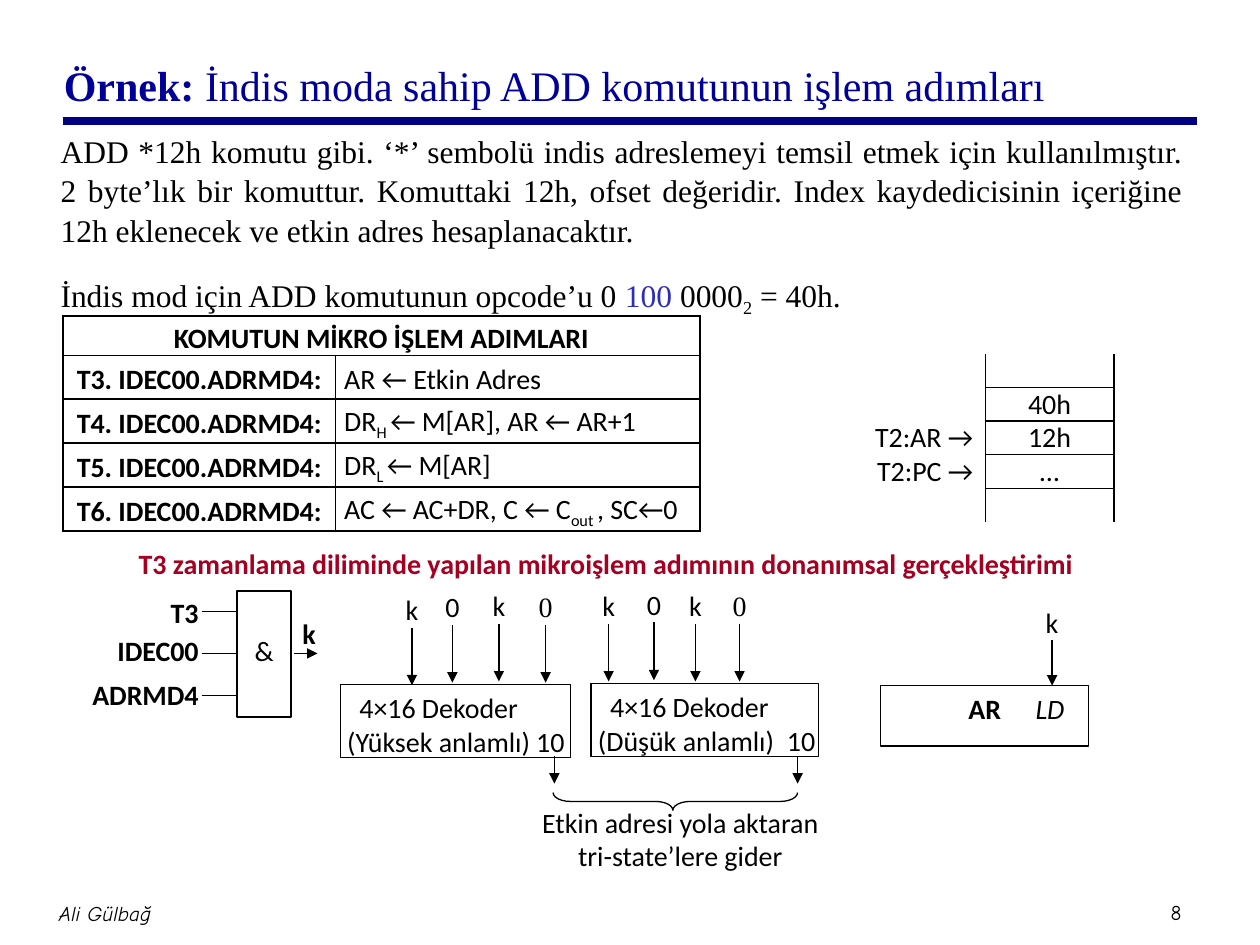
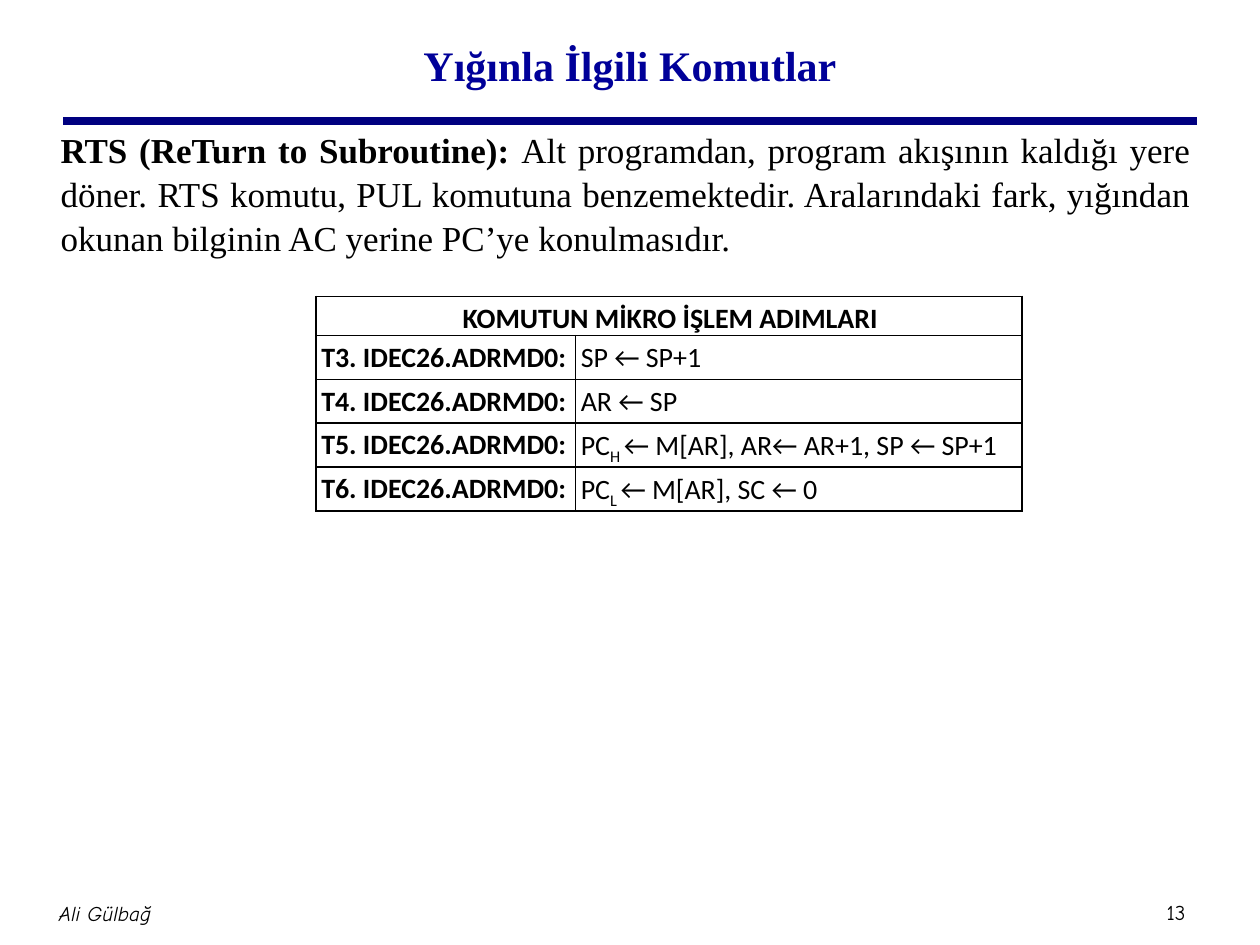
from lxml import etree
from pptx import Presentation
from pptx.dml.color import RGBColor
from pptx.enum.shapes import MSO_CONNECTOR, MSO_SHAPE
from pptx.enum.text import MSO_ANCHOR, PP_ALIGN
from pptx.oxml.ns import qn
from pptx.util import Pt

LEFT, CENTER, RIGHT, JUSTIFY = PP_ALIGN.LEFT, PP_ALIGN.CENTER, PP_ALIGN.RIGHT, PP_ALIGN.JUSTIFY
TOP, MIDDLE = MSO_ANCHOR.TOP, MSO_ANCHOR.MIDDLE
RECT, BRACE = MSO_SHAPE.RECTANGLE, MSO_SHAPE.LEFT_BRACE
STRAIGHT = MSO_CONNECTOR.STRAIGHT

BLACK = RGBColor(0, 0, 0)
WHITE = RGBColor(255, 255, 255)
NAVY = RGBColor(0, 0, 0x80)
TITLE_BLUE = RGBColor(0, 0, 0x99)
OPCODE_BLUE = RGBColor(0x2D, 0x2D, 0xB9)
CRIMSON = RGBColor(0xA5, 0, 0x21)
SERIF, SANS, FOOTER = "Times New Roman", "Calibri", "Comic Neue"


def write(p, runs, size=16, font=SANS, color=BLACK, align=LEFT):
    """Fill a paragraph with (text, style) runs; b bold, i italic, s subscript, o opcode blue."""
    p.alignment = align
    for text, style in runs:
        r = p.add_run()
        r.text = text
        r.font.size, r.font.name = Pt(size), font
        r.font.bold, r.font.italic = "b" in style, "i" in style
        r.font.color.rgb = OPCODE_BLUE if "o" in style else color
        if "s" in style:
            r.font._element.set("baseline", "-25000")


def add_text(s, x, y, w, h, runs, anchor=TOP, **style):
    """Add a wrapping text box without insets."""
    tf = s.shapes.add_textbox(Pt(x), Pt(y), Pt(w), Pt(h)).text_frame
    tf.word_wrap = True
    tf.vertical_anchor = anchor
    tf.margin_left = tf.margin_right = tf.margin_top = tf.margin_bottom = 0
    write(tf.paragraphs[0], runs, **style)
    return tf


# Content of the two slides
SLIDES = [
    dict(
        number="8", title_box=(-43.2, 17.3, 720, 61.9),
        title=[("Örnek: ", "b"), ("İndis moda sahip ADD komutunun işlem adımları", "")],
        body_box=(34.6, 74.2, 641.5, 108), body_size=18,
        body=[
            [("ADD *12h komutu gibi. ‘*’ sembolü indis adreslemeyi temsil etmek için "
              "kullanılmıştır. 2 byte’lık bir komuttur. Komuttaki 12h, ofset değeridir. "
              "Index kaydedicisinin içeriğine 12h eklenecek ve etkin adres "
              "hesaplanacaktır.", "")],
            [("İndis mod için ADD komutunun opcode’u 0 ", ""), ("100", "o"),
             (" 0000", ""), ("2", "s"), (" = 40h.", "")],
        ],
        table_at=(36, 180.7), columns=(155.7, 208.3), margins=(5, 5),
        step_align=CENTER, anchor=MIDDLE, condition="IDEC00.ADRMD4:",
        steps=[
            [("AR ← Etkin Adres", "")],
            [("DR", ""), ("H ", "s"), ("← M[AR], AR ← AR+1", "")],
            [("DR", ""), ("L ", "s"), ("← M[AR]", "")],
            [("AC ← AC+DR, C ← C", ""), ("out ", "s"), (", SC←0", "")],
        ],
    ),
    dict(
        number="13", title_box=(54, 5.8, 612, 61.9),
        title=[("Yığınla İlgili Komutlar", "b")],
        body_box=(34.6, 72, 645.8, 85), body_size=20,
        body=[
            [("RTS (ReTurn to Subroutine): ", "b"),
             ("Alt programdan, program akışının kaldığı yere döner. RTS komutu, PUL "
              "komutuna benzemektedir. Aralarındaki fark, yığından okunan bilginin AC "
              "yerine PC’ye konulmasıdır.", "")],
        ],
        table_at=(180.7, 169.4), columns=(148.3, 254.9), margins=(2.9, 1.4),
        step_align=LEFT, anchor=TOP, condition="IDEC26.ADRMD0:",
        steps=[
            [("SP ← SP+1", "")],
            [("AR ← SP", "")],
            [("PC", ""), ("H ", "s"), ("← M[AR], AR← AR+1, SP ← SP+1", "")],
            [("PC", ""), ("L ", "s"), ("← M[AR], SC ← 0", "")],
        ],
    ),
]

prs = Presentation()
prs.slide_width, prs.slide_height = Pt(720), Pt(540)
lines = []      # slide, x1, y1, x2, y2, colour, width, arrow
bordered = []   # table cell, sides that get a line

for data in SLIDES:
    s = prs.slides.add_slide(prs.slide_layouts[5])

    # Title, rule and footer
    title = s.shapes.title
    title.left, title.top, title.width, title.height = map(Pt, data["title_box"])
    title.text_frame.vertical_anchor = MIDDLE
    write(title.text_frame.paragraphs[0], data["title"], 24, SERIF, TITLE_BLUE, CENTER)
    lines.append((s, 36, 69.1, 684, 69.1, NAVY, 4.5, False))
    add_text(s, 20, 504, 80, 36, [("Ali Gülbağ", "i")], MIDDLE,
             size=12, font=FOOTER, align=CENTER)
    add_text(s, 655, 510.5, 34, 21.6, [(data["number"], "")], MIDDLE,
             size=12, font=FOOTER, align=CENTER)

    # Body text
    first, *rest = data["body"]
    style = dict(size=data["body_size"], font=SERIF)
    tf = add_text(s, *data["body_box"], first, align=JUSTIFY, **style)
    for runs in rest:
        p = tf.add_paragraph()
        p.space_before = Pt(14)
        write(p, runs, **style)
    for p in tf.paragraphs:
        p.line_spacing = 1.05

    # Micro-operation table
    x, y = data["table_at"]
    table = s.shapes.add_table(5, 2, Pt(x), Pt(y), Pt(sum(data["columns"])), Pt(122.4)).table
    table.first_row = table.horz_banding = False
    for column, width in zip(table.columns, data["columns"]):
        column.width = Pt(width)
    for i, row in enumerate(table.rows):
        row.height = Pt(25 if i else 22.4)
    table.cell(0, 0).merge(table.cell(0, 1))
    write(table.cell(0, 0).text_frame.paragraphs[0],
          [("KOMUTUN MİKRO İŞLEM ADIMLARI", "b")], align=CENTER)
    for i, runs in enumerate(data["steps"], start=1):
        write(table.cell(i, 0).text_frame.paragraphs[0],
              [(f"T{i + 2}. {data['condition']}", "b")], align=data["step_align"])
        write(table.cell(i, 1).text_frame.paragraphs[0], runs)
    for cell in table.iter_cells():
        cell.margin_left, cell.margin_right = map(Pt, data["margins"])
        cell.margin_top = cell.margin_bottom = 0
        cell.vertical_anchor = data["anchor"]
        cell.text_frame.paragraphs[0].line_spacing = 1.15
        bordered.append((cell, "LRTB"))

s = prs.slides[0]

# Memory table with register pointers
MEMORY = [("", "", "LRB"), ("", "40h", "LRTB"), ("T2:AR →", "12h", "LRTB"),
          ("T2:PC →", "…", "LRTB"), ("", "", "LRT")]
table = s.shapes.add_table(5, 2, Pt(449.3), Pt(202.3), Pt(187.2), Pt(95.5)).table
table.first_row = table.horz_banding = False
table.columns[0].width, table.columns[1].width = Pt(113.8), Pt(73.4)
for i, (pointer, content, sides) in enumerate(MEMORY):
    table.rows[i].height = Pt(19.1)
    for j, (text, align, edge) in enumerate([(pointer, RIGHT, "R"), (content, CENTER, sides)]):
        cell = table.cell(i, j)
        cell.margin_left = cell.margin_right = Pt(7)
        cell.margin_top = cell.margin_bottom = 0
        p = cell.text_frame.paragraphs[0]
        if text:
            write(p, [(text, "")], align=align)
        else:
            p._p.get_or_add_endParaRPr().set("sz", "800")
        bordered.append((cell, edge))

# Heading of the circuit
add_text(s, 79.2, 312.5, 600, 20,
         [("T3 zamanlama diliminde yapılan mikroişlem adımının donanımsal gerçekleştirimi", "b")],
         color=CRIMSON)

# Boxes: AND gate, two decoders, AR register
BOXES = [
    (135.4, 337.7, 31, 72, [[("&", "")]], CENTER, MIDDLE),
    (194.4, 391, 131.8, 41.8,
     [[("4×16 Dekoder", "")], [("(Yüksek anlamlı)\t10", "")]], LEFT, TOP),
    (337.7, 390.5, 130, 41.8,
     [[("4×16 Dekoder", "")], [("(Düşük anlamlı)\t10", "")]], LEFT, TOP),
    (503.3, 391.7, 118.8, 34.6, [[("AR", "b")]], CENTER, TOP),
]
for x, y, w, h, paragraphs, align, anchor in BOXES:
    sp = s.shapes.add_shape(RECT, Pt(x), Pt(y), Pt(w), Pt(h))
    sp.shadow.inherit = False
    sp.fill.solid()
    sp.fill.fore_color.rgb = WHITE
    sp.line.color.rgb, sp.line.width = BLACK, Pt(0.75)
    tf = sp.text_frame
    tf.vertical_anchor = anchor
    tf.margin_left, tf.margin_right = Pt(4), Pt(4 if align == CENTER else 0)
    tf.margin_top, tf.margin_bottom = Pt(3.6), Pt(8 if anchor == MIDDLE else 3.6)
    for i, runs in enumerate(paragraphs):
        p = tf.add_paragraph() if i else tf.paragraphs[0]
        write(p, runs, align=align)
        pPr = p._p.get_or_add_pPr()
        if align == LEFT and i == 0:
            pPr.set("marL", str(Pt(7)))
        elif align == LEFT:
            tabs = etree.SubElement(pPr, qn("a:tabLst"))
            etree.SubElement(tabs, qn("a:tab"), pos=str(Pt(108)), algn="l")
add_text(s, 580, 395.3, 40, 20, [("LD", "i")], align=CENTER)

# Gate inputs and output
for i, (name, y) in enumerate([("T3", 340.6), ("IDEC00", 362.2), ("ADRMD4", 387.4)]):
    add_text(s, 43.5, y, 70, 20, [(name, "b")], align=RIGHT)
    wire_y = 349.3 + 24.1 * i
    lines.append((s, 115.2, wire_y, 135.4, wire_y, BLACK, 0.75, False))
add_text(s, 172.8, 352.1, 14, 20, [("k", "b")])
lines.append((s, 167.8, 373.4, 181.4, 373.4, BLACK, 0.75, True))

# Labelled arrows into the decoders and AR
INPUTS = [
    ("k", 235.4, 358.6, 33, SANS), ("0", 258.5, 357.1, 33, SANS),
    ("k", 285.1, 356.4, 33, SANS), ("0", 311.8, 357.1, 33, SERIF),
    ("k", 347.8, 356.4, 33, SANS), ("0", 373.7, 355.7, 33, SANS),
    ("k", 397.4, 356.4, 33, SANS), ("0", 422.6, 356.4, 33, SERIF),
    ("k", 601.2, 365.8, 26, SANS),
]
for label, x, y, length, font in INPUTS:
    add_text(s, x - 10, y - 20, 20, 20, [(label, "")], font=font, align=CENTER)
    lines.append((s, x, y, x, y + length, BLACK, 0.75, True))

# Decoder outputs, joined by a brace
for x in (316.8, 455.8):
    lines.append((s, x, 432, x, 447.8, BLACK, 0.75, True))
sp = s.shapes.add_shape(BRACE, Pt(380.9), Pt(388.1), Pt(10.1), Pt(139.7))
sp.rotation = 270
sp.adjustments[0], sp.adjustments[1] = 0.98, 0.49
sp.shadow.inherit = False
sp.fill.background()
sp.line.color.rgb, sp.line.width = BLACK, Pt(0.75)
add_text(s, 306, 460.1, 165.6, 40,
         [("Etkin adresi yola aktaran tri-state’lere gider", "")], align=CENTER)

# Draw all lines and arrows
for s, x1, y1, x2, y2, color, width, arrow in lines:
    cx = s.shapes.add_connector(STRAIGHT, Pt(x1), Pt(y1), Pt(x2), Pt(y2))
    cx.line.color.rgb, cx.line.width = color, Pt(width)
    if arrow:
        etree.SubElement(cx.line._get_or_add_ln(), qn("a:tailEnd"), type="triangle")
    etree.SubElement(cx._element.spPr, qn("a:effectLst"))

# Cell borders
for cell, sides in bordered:
    cell.fill.background()
    tcPr = cell._tc.get_or_add_tcPr()
    for i, side in enumerate("LRTB"):
        ln = etree.Element(qn(f"a:ln{side}"), w=str(Pt(1)))
        if side in sides:
            fill = etree.SubElement(ln, qn("a:solidFill"))
            etree.SubElement(fill, qn("a:srgbClr"), val=str(BLACK))
        else:
            etree.SubElement(ln, qn("a:noFill"))
        tcPr.insert(i, ln)

prs.save("out.pptx")
